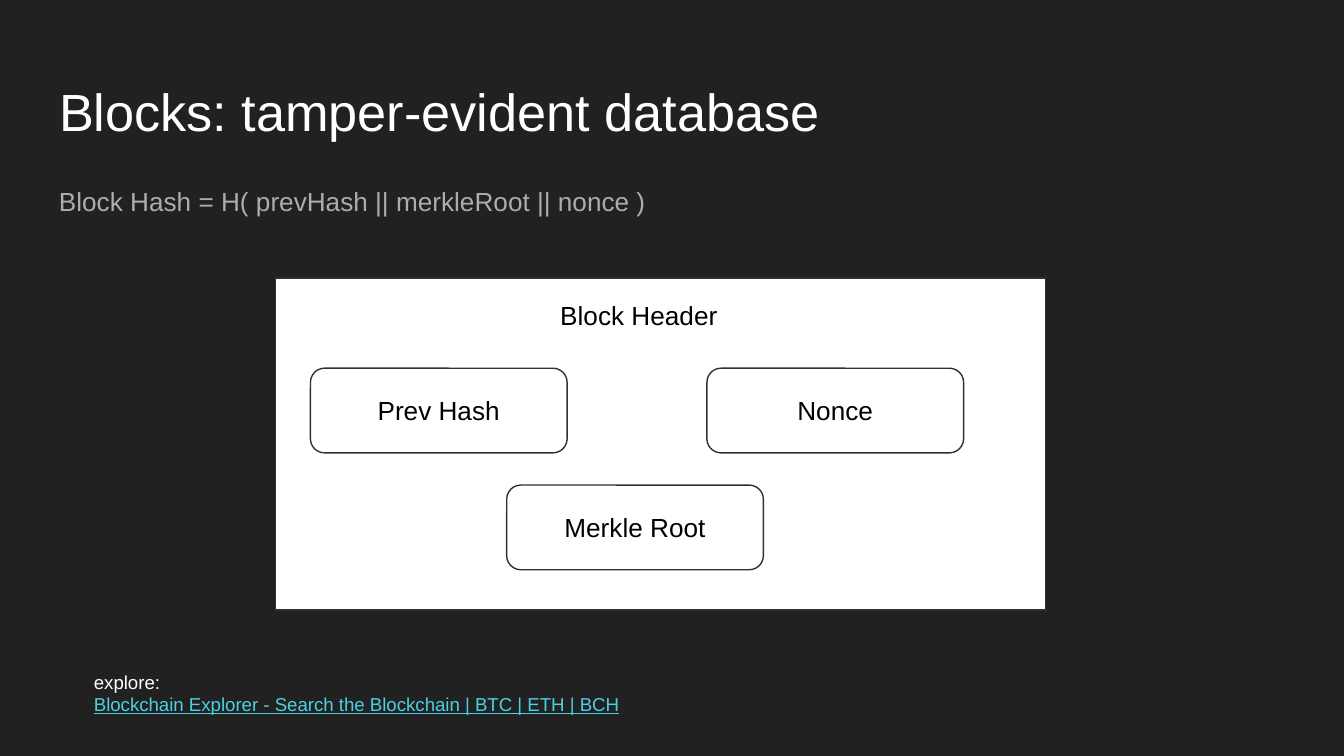
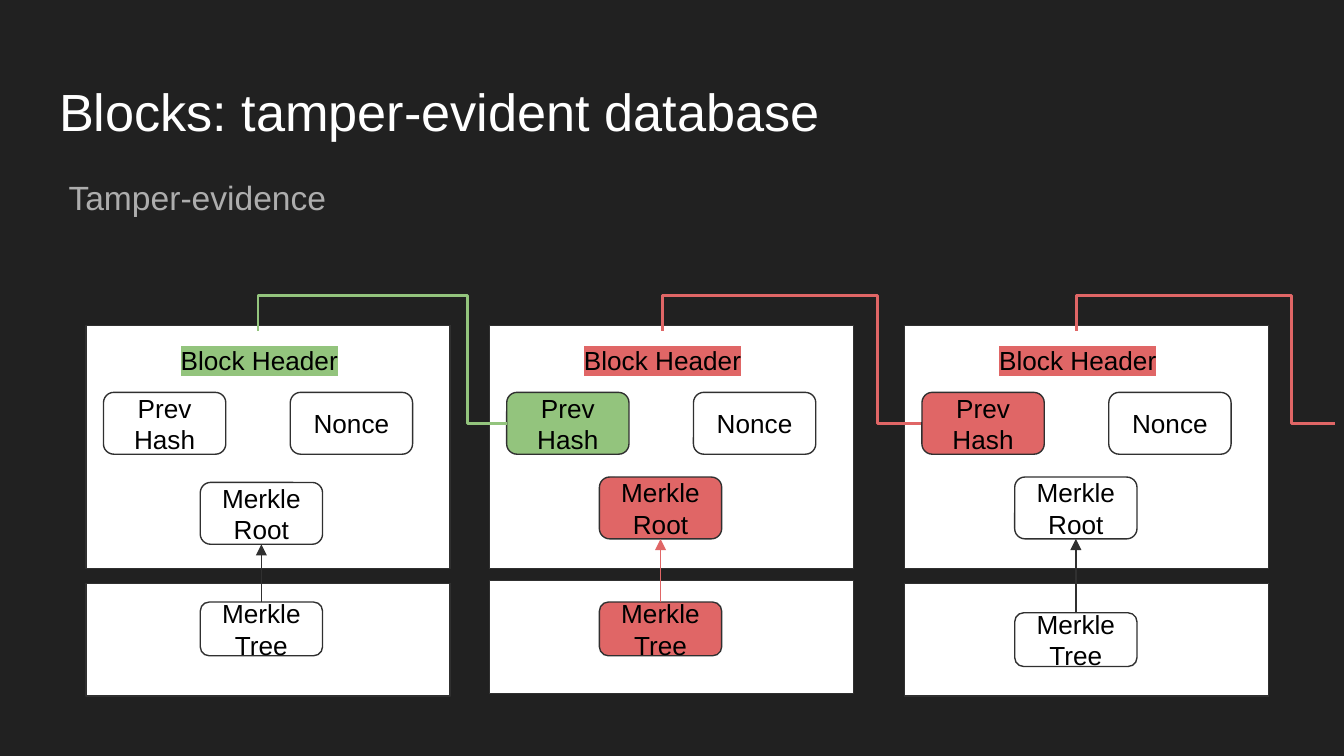
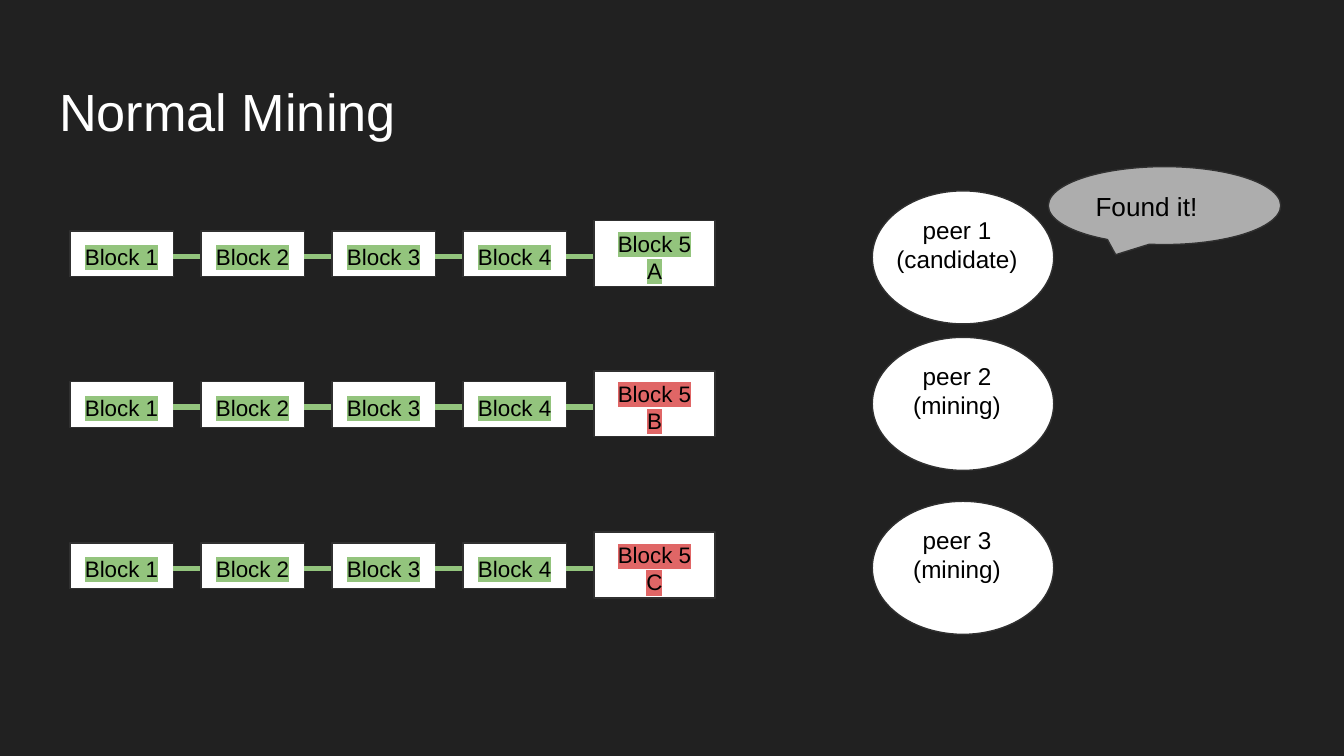
from dataclasses import dataclass

from lxml.etree import SubElement
from pptx import Presentation
from pptx.dml.color import RGBColor
from pptx.enum.shapes import MSO_CONNECTOR, MSO_SHAPE
from pptx.enum.text import MSO_ANCHOR, MSO_AUTO_SIZE, PP_ALIGN
from pptx.oxml.ns import qn
from pptx.util import Inches, Pt

DARK = RGBColor(0x21, 0x21, 0x21)
EDGE = RGBColor(0x30, 0x30, 0x30)
WHITE = RGBColor(0xFF, 0xFF, 0xFF)
BLACK = RGBColor(0x00, 0x00, 0x00)
GREY = RGBColor(0xAD, 0xAD, 0xAD)
GREEN = RGBColor(0x93, 0xC4, 0x7D)
RED = RGBColor(0xE0, 0x66, 0x66)
CYAN = RGBColor(0x4D, 0xD0, 0xE1)

FONT = "Arial"
WIDTH = Inches(10)
HEIGHT = WIDTH * 9 // 16
INSET = Inches(0.1)
FRAME = {
    "margin_left": INSET,
    "margin_top": INSET,
    "margin_right": INSET,
    "margin_bottom": INSET,
    "word_wrap": True,
    "auto_size": MSO_AUTO_SIZE.NONE,
}
TITLE_BOX = (0.34, 0.49, 9.32, 0.63)
TITLE_ONLY, TITLE_BODY = 5, 1
LEFT, CENTER = PP_ALIGN.LEFT, PP_ALIGN.CENTER
TOP, MIDDLE = MSO_ANCHOR.TOP, MSO_ANCHOR.MIDDLE
CELL = 0.91


@dataclass(frozen=True)
class Block:
    """A block on the tamper slide: header above, tree box below."""
    left: float
    head: RGBColor
    prev: RGBColor
    root: RGBColor
    arrow: RGBColor
    root_left: float = 0.82
    root_top: float = 3.55
    base_top: float = 4.34
    tree_top: float = 4.48


@dataclass(frozen=True)
class Link:
    """A hash link from the next block back to a header."""
    start: float
    end: float
    color: RGBColor
    bend: float


@dataclass(frozen=True)
class Peer:
    name: str
    role: str
    mark: str
    color: RGBColor
    top: float
    oval: float


BLOCKS = [
    Block(0.64, GREEN, WHITE, WHITE, EDGE, root_left=0.85, root_top=3.59),
    Block(3.64, RED, GREEN, RED, RED, base_top=4.32),
    Block(6.73, RED, RED, WHITE, EDGE, tree_top=4.56),
]
LINKS = [
    Link(6.85, 4.93, RED, 0.32),
    Link(3.77, 1.92, GREEN, 0.29),
    Link(9.93, 8.01, RED, 0.32),
]
PEERS = [
    Peer("peer 1", "(candidate)", "A", GREEN, 1.72, 1.42),
    Peer("peer 2", "(mining)", "B", RED, 2.84, 2.51),
    Peer("peer 3", "(mining)", "C", RED, 4.04, 3.73),
]


def apply(target, values: dict) -> None:
    for name, value in values.items():
        setattr(target, name, value)


def place(shape, box: tuple) -> None:
    names = ("left", "top", "width", "height")
    apply(shape, dict(zip(names, map(Inches, box))))


def write(shape, lines: list[str], size: float, color=BLACK, align=LEFT,
          anchor=TOP, mark=None) -> None:
    """Fill a text frame, one paragraph a line, with an optional highlight."""
    frame = shape.text_frame
    apply(frame, FRAME | {"vertical_anchor": anchor})
    frame.text = "\n".join(lines)
    for para in frame.paragraphs:
        apply(para, {"alignment": align, "space_before": Pt(0)})
        font = para.runs[0].font
        apply(font, {"name": FONT, "size": Pt(size)})
        font.color.rgb = color
        if mark is not None:
            props = para.runs[0]._r.get_or_add_rPr()
            glow = SubElement(props, qn("a:highlight"))
            SubElement(glow, qn("a:srgbClr"), val=str(mark))
            props.find(qn("a:solidFill")).addnext(glow)


def label(shapes, box: tuple, lines: list[str], size: float, **style):
    item = shapes.add_textbox(*map(Inches, box))
    write(item, lines, size, **style)
    return item


def draw(shapes, box: tuple, kind=MSO_SHAPE.RECTANGLE, fill=WHITE):
    item = shapes.add_shape(kind, *map(Inches, box))
    item.shadow.inherit = False
    item.fill.solid()
    item.fill.fore_color.rgb = fill
    item.line.color.rgb = EDGE
    item.line.width = Pt(0.75)
    return item


def field(shapes, box: tuple, text: str, fill=WHITE) -> None:
    """Draw a rounded box with a centred caption."""
    item = draw(shapes, box, MSO_SHAPE.ROUNDED_RECTANGLE, fill)
    write(item, [text], 14, align=CENTER, anchor=MIDDLE)


def join(shapes, start: tuple, end: tuple, color: RGBColor, width: float,
         kind=MSO_CONNECTOR.STRAIGHT, arrow=False):
    item = shapes.add_connector(kind, *map(Inches, start + end))
    item.line.color.rgb = color
    item.line.width = Pt(width)
    if arrow:
        SubElement(item.line._get_or_add_ln(), qn("a:tailEnd"),
                   type="triangle")
    SubElement(item._element.spPr, qn("a:effectLst"))
    return item


def hook(shapes, link: Link) -> None:
    """Draw a link that rises over the header and drops onto it."""
    item = join(shapes, (link.end, 2.46), (link.start, 3.15), link.color,
                1.5, MSO_CONNECTOR.ELBOW)
    props = item._element.spPr
    props.find(qn("a:xfrm")).set("rot", "10800000")
    geom = props.find(qn("a:prstGeom"))
    geom.set("prst", "bentConnector4")
    guides = geom.find(qn("a:avLst"))
    if guides is None:
        guides = SubElement(geom, qn("a:avLst"))
    ratios = (link.bend / (link.start - link.end), 1.38)
    for rank, ratio in enumerate(ratios, 1):
        SubElement(guides, qn("a:gd"), name=f"adj{rank}",
                   fmla=f"val {round(ratio * 100000)}")


def add_slide(deck, title: str, layout=TITLE_ONLY):
    slide = deck.slides.add_slide(deck.slide_layouts[layout])
    place(slide.shapes.title, TITLE_BOX)
    write(slide.shapes.title, [title], 28, WHITE)
    return slide


def header_slide(deck) -> None:
    shapes = add_slide(deck, "Blocks: tamper-evident database").shapes
    draw(shapes, (2.05, 2.07, 5.73, 2.47))
    for left, top, text in ((2.31, 2.74, "Prev Hash"), (5.26, 2.74, "Nonce"),
                            (3.77, 3.61, "Merkle Root")):
        field(shapes, (left, top, 1.91, 0.63), text)
    label(shapes, (4.07, 2.13, 1.45, 0.47), ["Block Header"], 14)
    note = label(shapes, (0.6, 4.89, 7.81, 0.47), [
        "explore:",
        "Blockchain Explorer - Search the Blockchain | BTC | ETH | BCH",
    ], 10, color=WHITE)
    font = note.text_frame.paragraphs[1].runs[0].font
    font.color.rgb = CYAN
    font.underline = True
    label(shapes, (0.34, 1.28, 4.72, 0.44),
          ["Block Hash = H( prevHash || merkleRoot || nonce )"], 14,
          color=GREY)


def draw_block(shapes, block: Block) -> None:
    left, mid = block.left, block.left + block.root_left
    group = shapes.add_group_shape().shapes
    draw(group, (left, 2.42, 2.71, 1.81))
    field(group, (left + 0.13, 2.92, CELL, 0.46), "Prev Hash", block.prev)
    field(group, (left + 1.52, 2.92, CELL, 0.46), "Nonce")
    field(group, (mid, block.root_top, CELL, 0.46), "Merkle Root", block.root)
    label(group, (left + 0.36, 2.46, 1.86, 0.32), ["Block Header"], 14,
          align=CENTER, mark=block.head)
    draw(shapes, (left, block.base_top, 2.71, 0.84))
    field(shapes, (mid, block.tree_top, CELL, 0.4), "Merkle Tree", block.root)
    axis = mid + CELL / 2
    join(shapes, (axis, block.tree_top), (axis, block.root_top + 0.46),
         block.arrow, 0.75, arrow=True)


def tamper_slide(deck) -> None:
    slide = add_slide(deck, "Blocks: tamper-evident database", TITLE_BODY)
    body = slide.placeholders[1]
    place(body, (0.41, 1.17, 9.32, 4.28))
    write(body, ["Tamper-evidence"], 18, GREY)
    para = body.text_frame.paragraphs[0]
    apply(para, {"line_spacing": 1.15, "space_after": Pt(16)})
    props = para._p.get_or_add_pPr()
    props.set("marL", "0")
    props.set("indent", "0")
    SubElement(props, qn("a:buNone"))
    for block in BLOCKS:
        draw_block(slide.shapes, block)
    for link in LINKS:
        hook(slide.shapes, link)


def draw_chain(shapes, peer: Peer) -> None:
    first, final, wide = 0.52, 4.42, 0.77
    top, step = peer.top, (final - first) / 4
    for rank in range(4):
        left = first + rank * step
        group = shapes.add_group_shape().shapes
        draw(group, (left, top, wide, 0.34))
        label(group, (left, top + 0.14, wide, 0.1), [f"Block {rank + 1}"],
              12, align=CENTER, anchor=MIDDLE, mark=GREEN)
        join(shapes, (left + step, top + 0.19), (left + wide, top + 0.19),
             GREEN, 3)
    last = shapes.add_group_shape().shapes
    draw(last, (final, top - 0.08, 0.9, 0.49))
    label(last, (final, top + 0.12, 0.9, 0.14), ["Block 5", peer.mark], 12,
          align=CENTER, anchor=MIDDLE, mark=peer.color)


def draw_peer(shapes, peer: Peer) -> None:
    group = shapes.add_group_shape().shapes
    draw(group, (6.49, peer.oval, 1.35, 0.99), MSO_SHAPE.OVAL)
    label(group, (6.55, peer.oval + 0.08, 1.14, 0.64),
          [peer.name, peer.role], 13, align=CENTER)


def mining_slide(deck) -> None:
    shapes = add_slide(deck, "Normal Mining").shapes
    for peer in PEERS:
        draw_chain(shapes, peer)
        draw_peer(shapes, peer)
    call = draw(shapes, (7.8, 1.24, 1.73, 0.58), MSO_SHAPE.OVAL_CALLOUT, GREY)
    call.adjustments[0] = -0.21
    call.adjustments[1] = 0.63
    write(call, ["Found it!"], 14, anchor=MIDDLE)


def main() -> None:
    deck = Presentation()
    apply(deck, {"slide_width": WIDTH, "slide_height": HEIGHT})
    back = deck.slide_master.background.fill
    back.solid()
    back.fore_color.rgb = DARK
    header_slide(deck)
    tamper_slide(deck)
    mining_slide(deck)
    deck.save("out.pptx")


if __name__ == "__main__":
    main()
